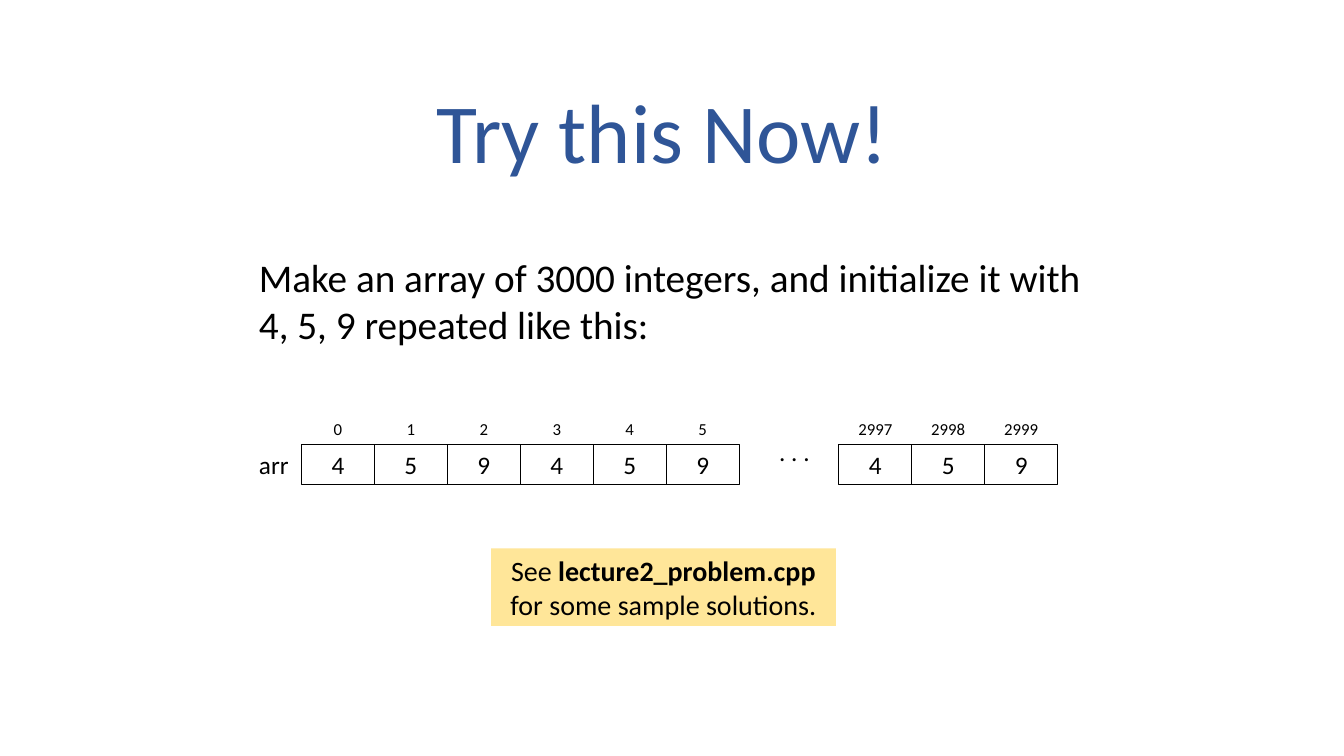
from pptx import Presentation
from pptx.dml.color import RGBColor
from pptx.enum import shapes, text
from pptx.util import Inches, Pt

FONT = "Calibri"
BLACK, BLUE, YELLOW = "000000", "2F5597", "FFE699"
LEFT, CENTER = text.PP_ALIGN.LEFT, text.PP_ALIGN.CENTER
PATTERN = (4, 5, 9)
CELL_W, CELL_H, CELL_TOP = 0.7235, 0.4, 4.41
INDEX_H = 0.3


def color(value):
    """Turn a hex string into a colour."""
    return RGBColor.from_string(value)


def format_text(tf, size, hue=BLACK, align=LEFT, wrap=True):
    """Format every paragraph and run of a text frame."""
    tf.word_wrap = wrap
    for p in tf.paragraphs:
        p.alignment = align
        for r in p.runs:
            r.font.name, r.font.size = FONT, Pt(size)
            r.font.color.rgb = color(hue)


def add_label(s, content, box, size, align=LEFT, wrap=True):
    """Add a text box; box is left, top, width and height in inches."""
    tf = s.shapes.add_textbox(*map(Inches, box)).text_frame
    tf.text = content
    format_text(tf, size, align=align, wrap=wrap)


def add_box(s, box, fill=None, line=None):
    """Add a rectangle with an optional fill and outline."""
    sp = s.shapes.add_shape(shapes.MSO_SHAPE.RECTANGLE, *map(Inches, box))
    sp.shadow.inherit = False
    if fill:
        sp.fill.solid()
        sp.fill.fore_color.rgb = color(fill)
    else:
        sp.fill.background()
    if line:
        sp.line.color.rgb = color(line)
        sp.line.width = Pt(0.75)
    else:
        sp.line.fill.background()
    return sp


def add_cells(s, left, indices):
    """Draw adjoining array cells with their indices above."""
    for i, index in enumerate(indices):
        x = left + i * CELL_W
        tf = add_box(s, (x, CELL_TOP, CELL_W, CELL_H), line=BLACK).text_frame
        tf.text = str(PATTERN[index % len(PATTERN)])
        format_text(tf, 18, align=CENTER)
        add_label(s, str(index), (x, CELL_TOP - INDEX_H, CELL_W, INDEX_H),
                  12, CENTER)


def add_title(s, content, box):
    """Place and format the title placeholder."""
    sp = s.shapes.title
    sp.left, sp.top, sp.width, sp.height = map(Inches, box)
    tf = sp.text_frame
    tf.text = content
    tf.auto_size = text.MSO_AUTO_SIZE.NONE
    tf.vertical_anchor = text.MSO_ANCHOR.TOP
    format_text(tf, 60, BLUE, wrap=False)


def add_hint(s, parts, box):
    """Add the filled hint box from (text, bold) parts."""
    tf = add_box(s, box, fill=YELLOW).text_frame
    p = tf.paragraphs[0]
    for content, bold in parts:
        r = p.add_run()
        r.text, r.font.bold = content, bold
    format_text(tf, 20, align=CENTER)


def main():
    """Build the slide and save it."""
    prs = Presentation()
    prs.slide_width, prs.slide_height = Inches(13.33), Inches(7.5)
    s = prs.slides.add_slide(prs.slide_layouts[5])
    add_title(s, "Try this Now!", (4.23, 0.74, 4.72, 1.11))
    add_label(s, "Make an array of 3000 integers, and initialize it with\v"
              "4, 5, 9 repeated like this:", (2.47, 2.46, 8.68, 1.35), 28)
    add_label(s, "arr", (2.47, CELL_TOP, 0.5, CELL_H), 18, wrap=False)
    add_cells(s, 2.99, range(6))
    add_label(s, ". . .", (7.46, 4.28, 0.84, 0.4), 18, CENTER)
    add_cells(s, 8.32, range(2997, 3000))
    add_hint(s, [("See ", False), ("lecture2_problem.cpp", True),
                 (" for some sample solutions.", False)],
             (4.87, 5.44, 3.42, 0.77))
    prs.save("out.pptx")


main()
